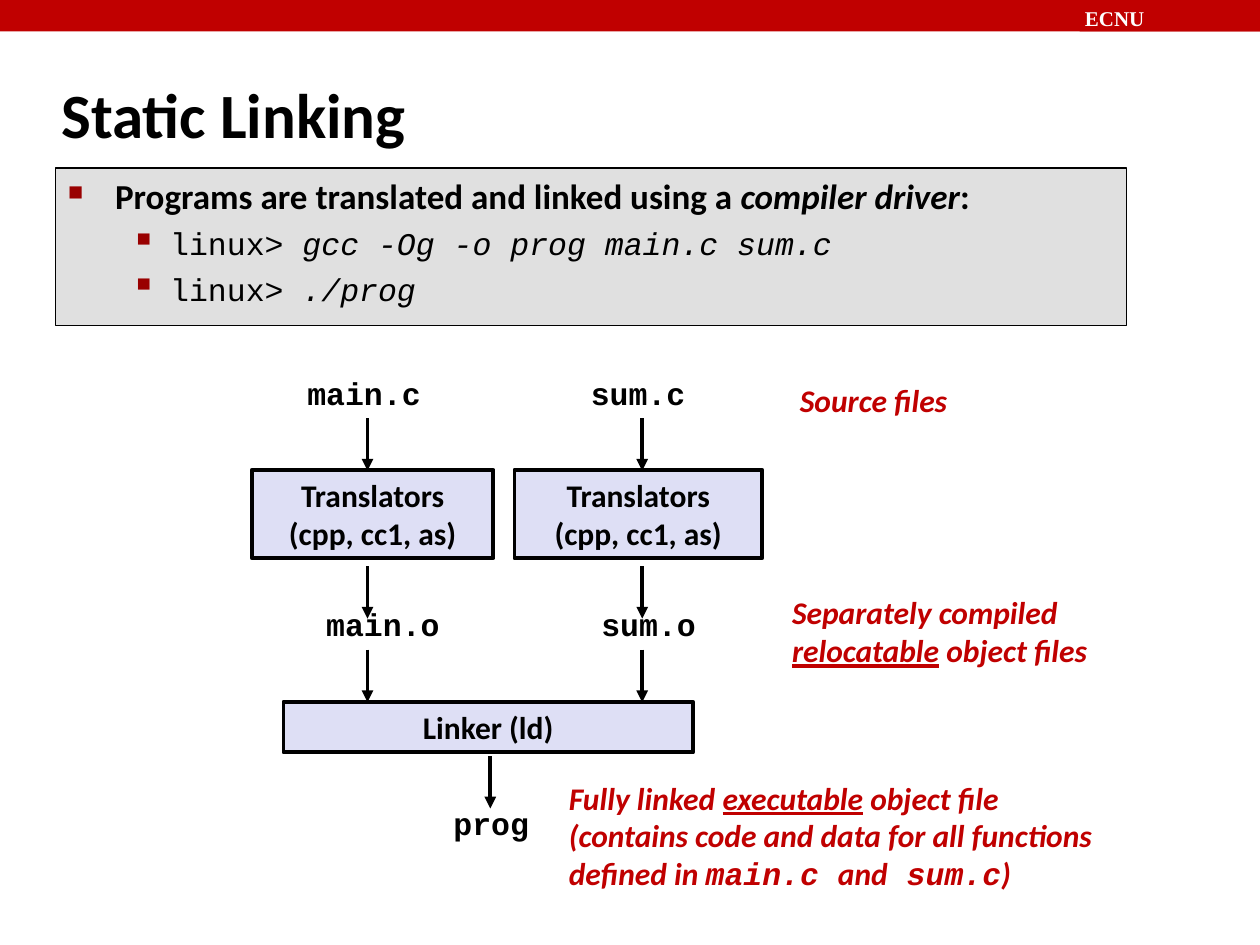
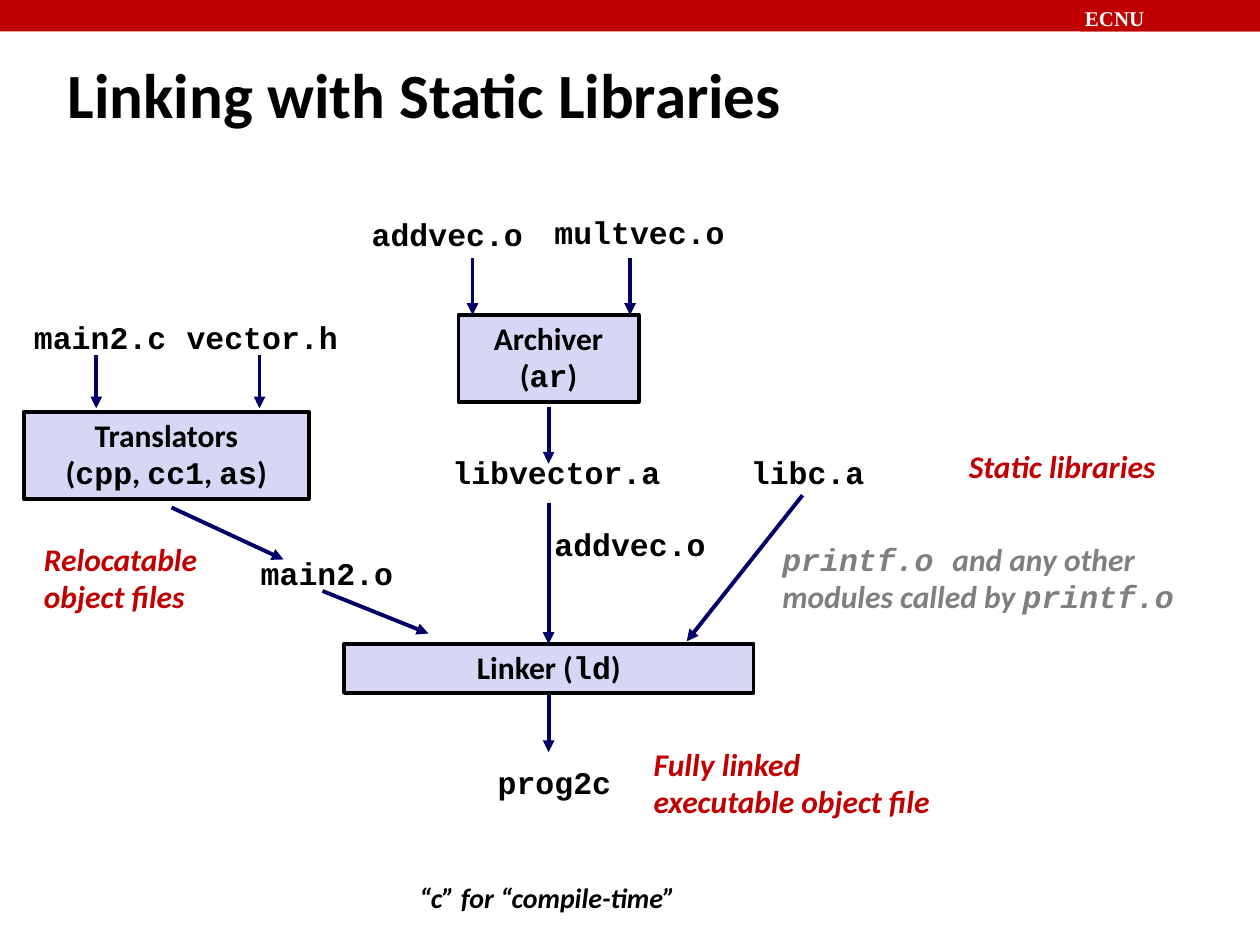
from lxml.etree import SubElement
from pptx import Presentation
from pptx.dml.color import RGBColor
from pptx.enum.shapes import MSO_CONNECTOR, MSO_SHAPE
from pptx.enum.text import MSO_ANCHOR, MSO_AUTO_SIZE, PP_ALIGN
from pptx.oxml.ns import qn
from pptx.util import Pt

RED = RGBColor(0xC0, 0x00, 0x00)
MAROON = RGBColor(0x99, 0x00, 0x00)
BLACK = RGBColor(0x00, 0x00, 0x00)
WHITE = RGBColor(0xFF, 0xFF, 0xFF)
GRAY = RGBColor(0x7F, 0x7F, 0x7F)
SILVER = RGBColor(0xE0, 0xE0, 0xE0)
LILAC = RGBColor(0xDE, 0xDF, 0xF5)
MAUVE = RGBColor(0xD6, 0xD6, 0xF5)
NAVY = RGBColor(0x00, 0x00, 0x66)
SANS, MONO, SERIF = "Calibri", "Courier New", "Times New Roman"


def put(slide, box, lines, size=18, color=BLACK, font=SANS, slant=False,
        align=PP_ALIGN.LEFT, pitch=None, fill=None, edge=0, wrap=False):
    # Backticks switch to MONO; underscores toggle italic, or underline in slanted text.
    spot = [Pt(v) for v in box]
    if fill is None:
        shape = slide.shapes.add_textbox(*spot)
    else:
        shape = slide.shapes.add_shape(MSO_SHAPE.RECTANGLE, *spot)
        shape.shadow.inherit = False
        shape.fill.solid()
        shape.fill.fore_color.rgb = fill
        if edge:
            shape.line.color.rgb = BLACK
            shape.line.width = Pt(edge)
        else:
            shape.line.fill.background()
    frame = shape.text_frame
    frame.word_wrap = wrap or fill is not None
    frame.vertical_anchor = MSO_ANCHOR.TOP
    if fill is None:
        frame.auto_size = MSO_AUTO_SIZE.SHAPE_TO_FIT_TEXT
    for row, line in enumerate(lines):
        para = frame.add_paragraph() if row else frame.paragraphs[0]
        para.alignment = align
        if pitch:
            para.line_spacing = pitch
        for i, part in enumerate(line.split("`")):
            for j, bit in enumerate(part.split("_")):
                if not bit:
                    continue
                run = para.add_run()
                run.text = bit
                run.font.name = MONO if i % 2 else font
                run.font.size = Pt(size)
                run.font.bold = True
                run.font.color.rgb = color
                run.font.italic = slant or j % 2 == 1
                if slant and j % 2:
                    run.font.underline = True
    return shape


def arrow(slide, ends, color):
    link = slide.shapes.add_connector(MSO_CONNECTOR.STRAIGHT, *[Pt(v) for v in ends])
    link.line.color.rgb = color
    link.line.width = Pt(2.25)
    SubElement(link.line._get_or_add_ln(), qn("a:tailEnd"), type="triangle")
    SubElement(link._element.spPr, qn("a:effectLst"))


deck = Presentation()
deck.slide_width, deck.slide_height = Pt(720), Pt(540)
pages = []
for title, box in [("Static Linking", (28, 34.5, 598, 60)),
                   ("Linking with Static Libraries", (31.7, 22.5, 442, 62))]:
    page = deck.slides.add_slide(deck.slide_layouts[6])
    put(page, (0, 0, 720, 18), [], fill=RED)
    tag = put(page, (617, 0, 103, 18), ["ECNU"], 12, WHITE, SERIF, fill=RED)
    frame = tag.text_frame
    frame.margin_left = frame.margin_right = Pt(3)
    frame.margin_top = frame.margin_bottom = Pt(3)
    head = put(page, box, [title], 36, wrap=True)
    head.text_frame.auto_size = MSO_AUTO_SIZE.NONE
    head.text_frame.vertical_anchor = MSO_ANCHOR.MIDDLE
    pages.append(page)
static, shared = pages

steps = put(static, (31.7, 96, 612, 90), [
    "Programs are translated and linked using a _compiler driver_:",
    "`linux> _gcc -Og -o prog main.c sum.c_`",
    "`linux> _./prog_`"], 20, fill=SILVER, edge=0.75)
for row, para in enumerate(steps.text_frame.paragraphs):
    left, hang, mark, scale = (58.5, 22.5, "▪", 110) if row else (27, 27, "■", 60)
    props = para._p.get_or_add_pPr()
    props.set("marL", str(Pt(left)))
    props.set("indent", str(-Pt(hang)))
    tint = SubElement(props, qn("a:buClr"))
    SubElement(tint, qn("a:srgbClr"), val=str(MAROON))
    SubElement(props, qn("a:buSzPct"), val=str(scale * 1000))
    SubElement(props, qn("a:buChar"), char=mark)
    if row:
        para.level = 1
        para.space_before = Pt(4.5)
        for run in para.runs:
            run.font.size = Pt(18)
            run.font.bold = False

for box, lines in [
        ((162, 401, 234, 29), ["Linker (ld)"]),
        ((144, 268.5, 138, 50.5), ["Translators", "(cpp, cc1, as)"]),
        ((294, 268.5, 141.5, 50.5), ["Translators", "(cpp, cc1, as)"])]:
    put(static, box, lines, align=PP_ALIGN.CENTER, fill=LILAC, edge=2.25)

for x, y, width, name in [
        (168.5, 210.2, 79, "main.c"), (330.5, 210.2, 68.4, "sum.c"),
        (179.3, 342, 79, "main.o"), (336.5, 342, 68.4, "sum.o"),
        (252, 455.8, 57.6, "prog")]:
    put(static, (x, y, width, 29), [f"`{name}`"])

for box, lines in [
        ((450, 214, 98.6, 29), ["Source files"]),
        ((445.5, 335.5, 183.6, 50.5), ["Separately compiled", "_relocatable_ object files"]),
        ((318, 441.4, 314.6, 72), [
            "Fully linked _executable_ object file",
            "(contains code and data for all functions",
            "defined in `main.c `and` sum.c`)"])]:
    put(static, box, lines, color=RED, slant=True)

for x in (210, 367):
    for y in (239, 323.5, 371.3):
        arrow(static, (x, y, x, y + 30), BLACK)
arrow(static, (280.2, 432, 280.2, 462), BLACK)

for box, lines in [
        ((13.7, 235.4, 162.7, 49.7), ["Translators", "(`cpp`, `cc1`, `as`)"]),
        ((196.6, 368, 234, 28), ["Linker (`ld`)"]),
        ((262, 180, 103, 49.7), ["Archiver", "(`ar`)"])]:
    put(shared, box, lines, align=PP_ALIGN.CENTER, pitch=0.98, fill=MAUVE, edge=2.25)

for x, y, width, name in [
        (12.2, 180, 90, "main2.c"), (99.4, 180, 100.8, "vector.h"),
        (141.8, 314.6, 90, "main2.o"), (421.9, 257, 79.2, "libc.a"),
        (251.3, 257, 133.2, "libvector.a"), (309.6, 298, 100.8, "addvec.o"),
        (205.2, 121, 100.8, "addvec.o"), (309.6, 120.2, 111.6, "multvec.o"),
        (277.2, 434.2, 79.2, "prog2c")]:
    put(shared, (x, y, width, 27.4), [f"`{name}`"], align=PP_ALIGN.CENTER, pitch=0.94)

for box, lines, color in [
        ((546.5, 252.7, 121, 28.8), ["Static libraries"], RED),
        ((18, 306, 102.2, 49.7), ["Relocatable", "object files"], RED),
        ((366.5, 423.4, 172.8, 49.7), ["Fully linked", "executable object file"], RED),
        ((440, 306, 249, 49), ["`printf.o `and any other", "modules called by `printf.o`"], GRAY)]:
    put(shared, box, lines, color=color, slant=True, pitch=0.98)
put(shared, (232.6, 499.7, 162, 26.6), ["“c” for “compile-time”"], 16, slant=True, wrap=True)

for ends in [
        (55, 203, 55, 233.3), (148.3, 203, 148.3, 233.3),
        (270, 147.6, 270, 180), (360, 147.6, 360, 180),
        (313.5, 232.6, 313.5, 265), (313.5, 287.3, 313.5, 368),
        (313.5, 397.4, 313.5, 429.8), (98, 290, 162, 319.7),
        (184.3, 337.7, 244.8, 362), (458.6, 283, 392.4, 366.5)]:
    arrow(shared, ends, NAVY)

deck.save("out.pptx")
